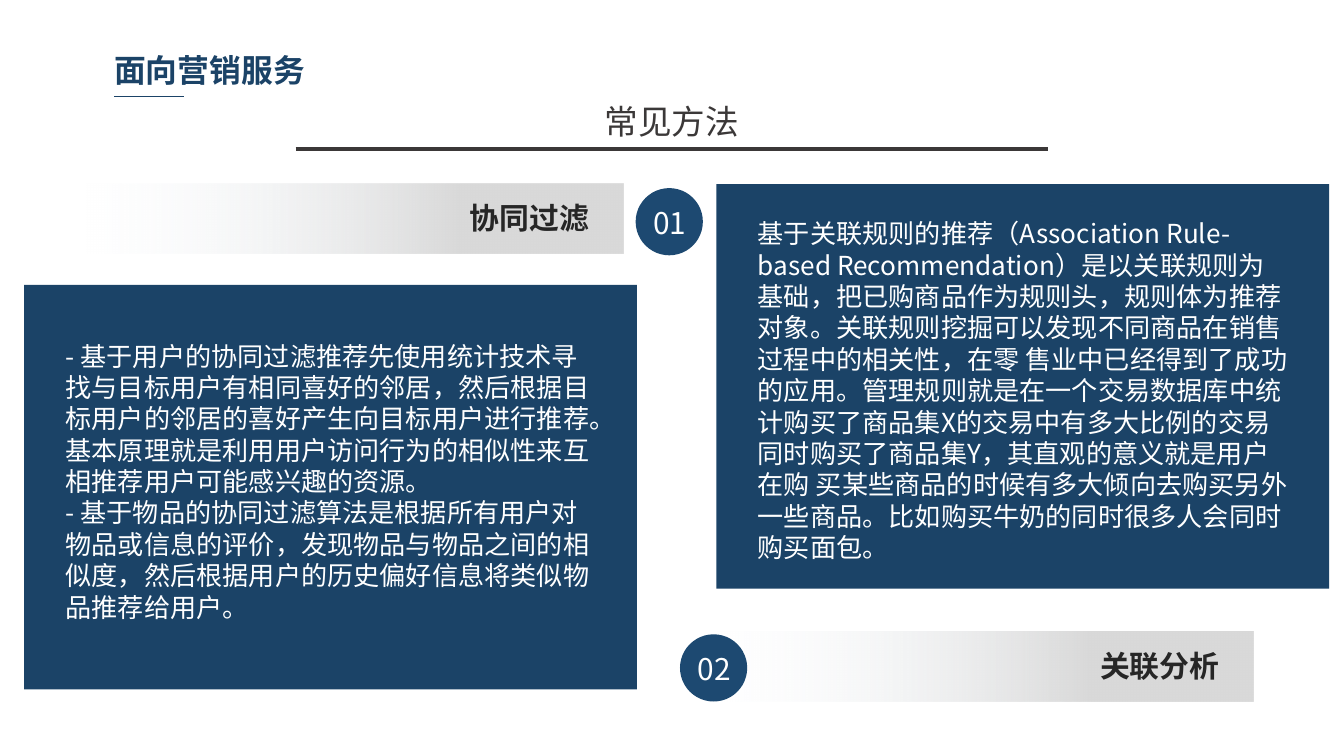
from dataclasses import dataclass

from lxml import etree
from pptx import Presentation
from pptx.dml.color import RGBColor
from pptx.enum.shapes import MSO_CONNECTOR, MSO_SHAPE
from pptx.enum.text import MSO_ANCHOR, MSO_AUTO_SIZE, PP_ALIGN
from pptx.oxml.ns import qn
from pptx.util import Inches, Pt

LEFT, CENTER, RIGHT = PP_ALIGN.LEFT, PP_ALIGN.CENTER, PP_ALIGN.RIGHT
TOP, MIDDLE = MSO_ANCHOR.TOP, MSO_ANCHOR.MIDDLE
RECTANGLE, OVAL = MSO_SHAPE.RECTANGLE, MSO_SHAPE.OVAL
STRAIGHT = MSO_CONNECTOR.STRAIGHT
GROW = MSO_AUTO_SIZE.SHAPE_TO_FIT_TEXT


@dataclass(frozen=True)
class Theme:
    font: str = "Noto Sans CJK SC"
    navy: str = "1B4367"
    badge: str = "1D4971"
    charcoal: str = "3B3838"
    label: str = "262626"
    white: str = "FFFFFF"
    band_start: str = "F7FAFD"
    band_end: str = "D9D9D9"
    title_size: int = 17
    heading_size: int = 18
    label_size: int = 16
    body_size: int = 14


THEME = Theme()

COLLABORATIVE = [
    "- 基于用户的协同过滤推荐先使用统计技术寻找与目标用户有相同喜好的邻居，然后根据目标用户的邻居的喜好产生向目标用户进行推荐。"
    "基本原理就是利用用户访问行为的相似性来互相推荐用户可能感兴趣的资源。",
    "- 基于物品的协同过滤算法是根据所有用户对物品或信息的评价，发现物品与物品之间的相似度，"
    "然后根据用户的历史偏好信息将类似物品推荐给用户。",
]
ASSOCIATION = [
    "基于关联规则的推荐（Association Rule-based Recommendation）是以关联规则为基础，"
    "把已购商品作为规则头，规则体为推荐对象。关联规则挖掘可以发现不同商品在销售过程中的相关性，"
    "在零 售业中已经得到了成功的应用。管理规则就是在一个交易数据库中统计购买了商品集X的交易中"
    "有多大比例的交易同时购买了商品集Y，其直观的意义就是用户在购 买某些商品的时候有多大倾向去"
    "购买另外一些商品。比如购买牛奶的同时很多人会同时购买面包。",
]


def add_text(page, box, lines, size, color, bold=False, align=LEFT,
             anchor=TOP, spacing=None, inset=(0.1, 0.05)):
    text_box = page.shapes.add_textbox(*map(Inches, box))
    frame = text_box.text_frame
    frame.word_wrap = True
    frame.auto_size = GROW
    frame.vertical_anchor = anchor
    frame.margin_left = frame.margin_right = Inches(inset[0])
    frame.margin_top = frame.margin_bottom = Inches(inset[1])
    frame.text = "\n".join(lines)
    for para in frame.paragraphs:
        para.alignment = align
        if spacing:
            para.line_spacing = spacing
        for span in para.runs:
            span.font.name = THEME.font
            span.font.size = Pt(size)
            span.font.bold = bold
            span.font.color.rgb = RGBColor.from_string(color)
            east_asian = etree.SubElement(span.font._element, qn("a:ea"))
            east_asian.set("typeface", THEME.font)


def add_block(page, kind, box, color=None):
    block = page.shapes.add_shape(kind, *map(Inches, box))
    block.shadow.inherit = False
    block.line.fill.background()
    if color:
        block.fill.solid()
        block.fill.fore_color.rgb = RGBColor.from_string(color)
    return block


def add_rule(page, left, top, width, color, weight):
    rule = page.shapes.add_connector(
        STRAIGHT, Inches(left), Inches(top), Inches(left + width), Inches(top))
    rule.line.color.rgb = RGBColor.from_string(color)
    rule.line.width = Pt(weight)
    etree.SubElement(rule._element.spPr, qn("a:effectLst"))


def add_title(page, left, top):
    add_text(page, (left, top, 2.47, 0.36), ["面向营销服务"], THEME.title_size,
             THEME.navy, bold=True, inset=(0.07, 0.04))
    add_rule(page, left + 0.07, top + 0.38, 0.52, THEME.navy, 0.75)


def add_heading(page, left, top):
    add_text(page, (left, top, 6.06, 0.4), ["常见方法"], THEME.heading_size,
             THEME.charcoal, align=CENTER)
    add_rule(page, left + 0.23, top + 0.41, 5.6, THEME.charcoal, 2)


def add_band(page, left, top, label):
    """Label on a bar that fades in from transparent at the left."""
    fill = add_block(page, RECTANGLE, (left, top, 4, 0.52)).fill
    fill.gradient()
    fill.gradient_angle = 0
    start, end = fill.gradient_stops
    start.position, end.position = 0, 0.7
    start.color.rgb = RGBColor.from_string(THEME.band_start)
    end.color.rgb = RGBColor.from_string(THEME.band_end)
    start_color = start._gs.find(qn("a:srgbClr"))
    etree.SubElement(start_color, qn("a:alpha")).set("val", "0")
    add_text(page, (left + 1.12, top + 0.07, 2.72, 0.37), [label],
             THEME.label_size, THEME.label, bold=True, align=RIGHT)


def add_badge(page, left, top, number):
    add_block(page, OVAL, (left, top, 0.5, 0.5), THEME.badge)
    add_text(page, (left + 0.01, top + 0.02, 0.49, 0.42), [number],
             THEME.label_size, THEME.white, align=CENTER, anchor=MIDDLE,
             spacing=1.2)


def add_panel(page, left, top, lines, text_top, text_height):
    add_block(page, RECTANGLE, (left, top, 4.56, 3.01), THEME.navy)
    add_text(page, (left + 0.21, top + text_top, 4.14, text_height), lines,
             THEME.body_size, THEME.white)


def main():
    deck = Presentation()
    deck.slide_width = Inches(10)
    deck.slide_height = deck.slide_width * 9 // 16
    page = deck.slides.add_slide(deck.slide_layouts[6])
    add_title(page, 0.78, 0.34)
    add_heading(page, 1.97, 0.7)
    add_band(page, 0.64, 1.37, "协同过滤")
    add_badge(page, 4.73, 1.4, "01")
    add_band(page, 5.33, 4.7, "关联分析")
    add_badge(page, 5.06, 4.72, "02")
    add_panel(page, 0.18, 2.12, COLLABORATIVE, 0.36, 2.22)
    add_panel(page, 5.33, 1.37, ASSOCIATION, 0.2, 2.69)
    deck.save("out.pptx")


if __name__ == "__main__":
    main()
